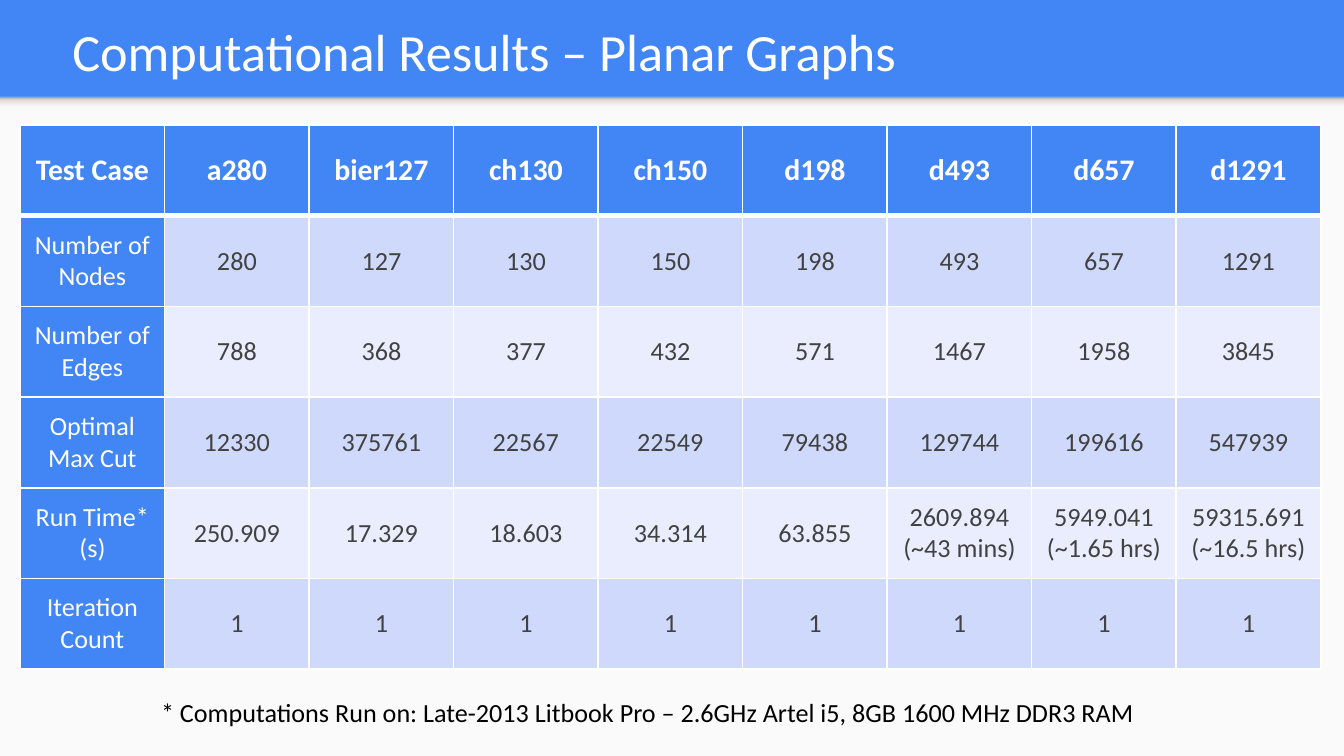
from copy import deepcopy

from lxml.etree import SubElement
from pptx import Presentation
from pptx.dml.color import RGBColor
from pptx.enum.shapes import MSO_SHAPE as SHAPE
from pptx.enum.text import MSO_ANCHOR as ANCHOR, PP_ALIGN as ALIGN
from pptx.oxml.ns import qn
from pptx.util import Inches, Pt

TITLE = "Computational Results – Planar Graphs"
FOOTNOTE = "* Computations Run on: Late-2013 Litbook Pro – 2.6GHz Artel i5, 8GB 1600 MHz DDR3 RAM"
ROWS = [
    ["Test Case", "a280", "bier127", "ch130", "ch150", "d198", "d493", "d657", "d1291"],
    ["Number of Nodes", "280", "127", "130", "150", "198", "493", "657", "1291"],
    ["Number of Edges", "788", "368", "377", "432", "571", "1467", "1958", "3845"],
    ["Optimal Max Cut", "12330", "375761", "22567", "22549", "79438", "129744", "199616", "547939"],
    ["Run Time* (s)", "250.909", "17.329", "18.603", "34.314", "63.855",
     "2609.894\n(~43 mins)", "5949.041\n(~1.65 hrs)", "59315.691\n(~16.5 hrs)"],
    ["Iteration Count"] + ["1"] * 8,
]
COLORS = {
    "blue": "4285F4", "page": "FAFAFA", "white": "FFFFFF", "black": "000000",
    "text": "424242", "band_dark": "CFD9FB", "band_light": "E9EDFD",
}
SHADOW_STOPS = [(0, "999999"), (0.2, "DEDEDE"), (0.64, "F9F9F9"), (1, "F9F9F9")]
FONT = "Calibri"
SLIDE_W = 10
SLIDE_H = SLIDE_W * 9 / 16
HEADER_H = 0.72
TABLE_BOX = (0.15, 0.93, 9.68, 4.05)


def rgb(name):
    return RGBColor.from_string(COLORS[name])


def format_text(tf, size, color, bold=False, align=ALIGN.LEFT):
    for p in tf.paragraphs:
        p.alignment = align
        for r in p.runs:
            r.font.name, r.font.size, r.font.bold = FONT, Pt(size), bold
            r.font.color.rgb = rgb(color)


def add_rect(slide, x, y, w, h):
    sp = slide.shapes.add_shape(SHAPE.RECTANGLE, Inches(x), Inches(y), Inches(w), Inches(h))
    sp.shadow.inherit = False
    sp.line.fill.background()
    return sp


def add_text(slide, box, text, size, color):
    tf = slide.shapes.add_textbox(*map(Inches, box)).text_frame
    tf.text = text
    format_text(tf, size, color)
    return tf


def set_borders(cell, top, bottom):
    tc_pr = cell._tc.get_or_add_tcPr()
    widths = {"lnL": 1, "lnR": 1, "lnT": top, "lnB": bottom}
    for i, (tag, width) in enumerate(widths.items()):
        ln = SubElement(tc_pr, qn(f"a:{tag}"), w=str(Pt(width)))
        fill = SubElement(ln, qn("a:solidFill"))
        SubElement(fill, qn("a:srgbClr"), val=COLORS["white"])
        tc_pr.insert(i, ln)  # borders come before the cell fill


prs = Presentation()
prs.slide_width, prs.slide_height = Inches(SLIDE_W), Inches(SLIDE_H)
slide = prs.slides.add_slide(prs.slide_layouts[6])

# Blue background with a light page below the header
slide.background.fill.solid()
slide.background.fill.fore_color.rgb = rgb("blue")
page = add_rect(slide, 0, HEADER_H, SLIDE_W, SLIDE_H - HEADER_H)
page.fill.solid()
page.fill.fore_color.rgb = rgb("page")

# Soft shadow under the header
shadow = add_rect(slide, 0, HEADER_H, SLIDE_W, 0.12)
shadow.fill.gradient()
shadow.fill.gradient_angle = 270
stop_list = shadow._element.spPr.find(".//" + qn("a:gsLst"))
for stop in list(stop_list):
    stop_list.append(deepcopy(stop))
for stop, (position, color) in zip(shadow.fill.gradient_stops, SHADOW_STOPS):
    stop.position = position
    stop.color.rgb = RGBColor.from_string(color)

# Title and footnote
tf = add_text(slide, (0.44, 0, 8.82, 0.71), TITLE, 28, "white")
tf.word_wrap = True
tf.vertical_anchor = ANCHOR.BOTTOM
tf.margin_left = tf.margin_right = tf.margin_top = tf.margin_bottom = Inches(0.1)
tf = add_text(slide, (1.1, 5.13, 7.9, 0.34), FOOTNOTE, 14, "black")
tf.word_wrap = False

# Results table: blue header row and column, banded values
n_rows, n_cols = len(ROWS), len(ROWS[0])
x, y, w, h = map(Inches, TABLE_BOX)
table = slide.shapes.add_table(n_rows, n_cols, x, y, w, h).table
for col in table.columns:
    col.width = w // n_cols
for row in table.rows:
    row.height = h // n_rows

for i, values in enumerate(ROWS):
    for j, value in enumerate(values):
        header = i == 0
        label = header or j == 0
        band = "band_dark" if i % 2 else "band_light"
        cell = table.cell(i, j)
        cell.text = value
        cell.vertical_anchor = ANCHOR.MIDDLE
        cell.fill.solid()
        cell.fill.fore_color.rgb = rgb("blue" if label else band)
        format_text(cell.text_frame, 16 if header else 14,
                    "white" if label else "text", header, ALIGN.CENTER)
        set_borders(cell, top=3 if i == 1 else 1, bottom=3 if header else 1)

prs.save("out.pptx")
